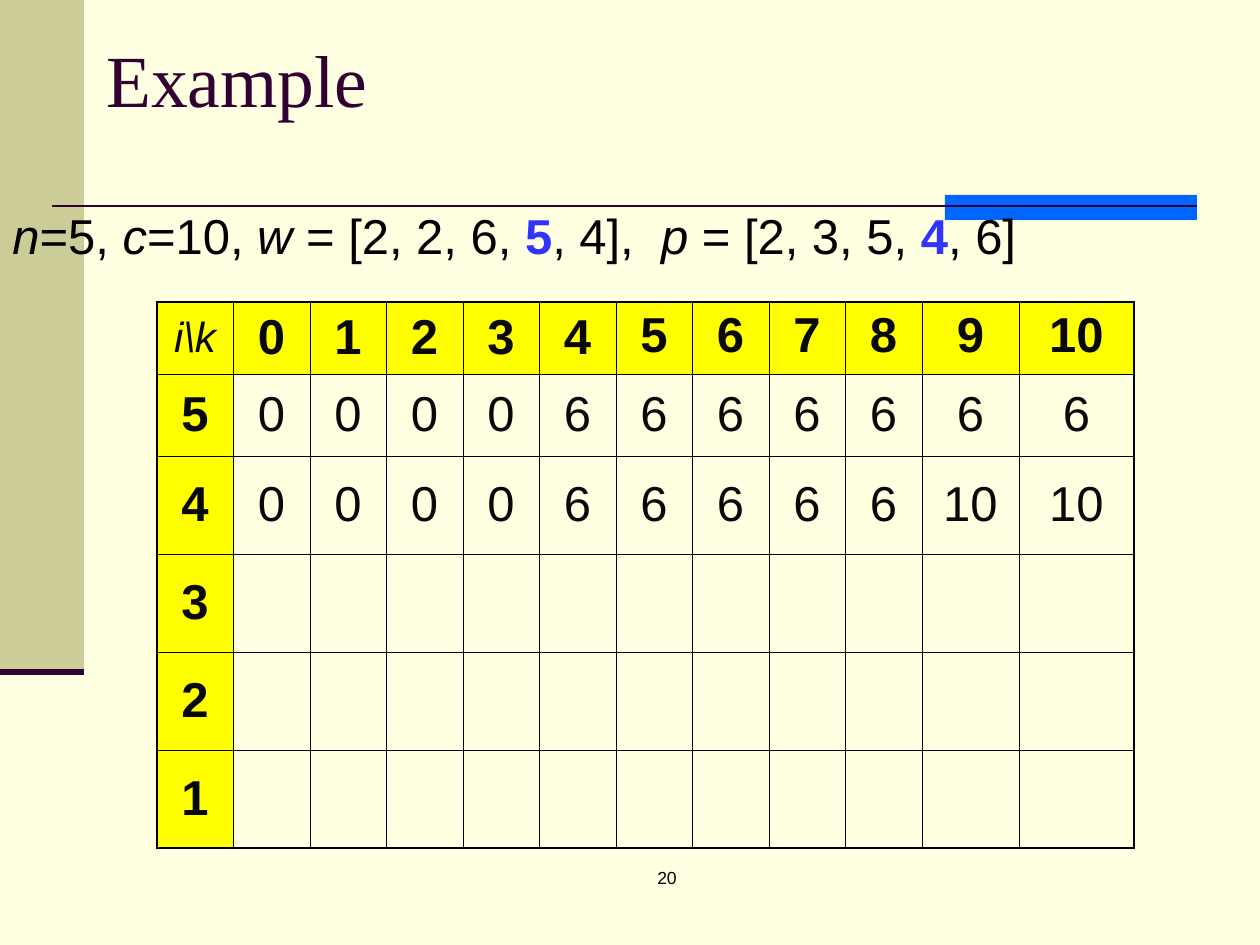
from lxml.etree import SubElement
from pptx import Presentation
from pptx.dml.color import RGBColor
from pptx.enum.shapes import MSO_CONNECTOR, MSO_SHAPE
from pptx.enum.text import MSO_ANCHOR, PP_ALIGN
from pptx.oxml.ns import qn
from pptx.util import Pt

PX = 914400 / 126
BLACK, INK, PLUM, BLUE, YELLOW = "000000", "080808", "330033", "3333FF", "FFFF00"


def px(*values):
    return [round(v * PX) for v in values]


def add_text(tf, *runs, size=28, font="Arial", color=BLACK, bold=False,
             align=PP_ALIGN.LEFT, anchor=MSO_ANCHOR.TOP):
    tf.word_wrap = True
    tf.vertical_anchor = anchor
    p = tf.paragraphs[0]
    p.alignment = align
    for text, style in runs:
        r = p.add_run()
        r.text = text
        r.font.size = Pt(size)
        r.font.name = font
        r.font.bold = bold or style == "key"
        r.font.italic = style == "var"
        r.font.color.rgb = RGBColor.from_string(BLUE if style == "key" else color)


prs = Presentation()
prs.slide_width, prs.slide_height = px(1260, 945)
s = prs.slides.add_slide(prs.slide_layouts[6])
s.background.fill.solid()
s.background.fill.fore_color.rgb = RGBColor.from_string("FFFFE1")

for box, color in [((0, 0, 84, 672), "CCCC99"), ((945, 195, 252, 25), "0066FF")]:
    sp = s.shapes.add_shape(MSO_SHAPE.RECTANGLE, *px(*box))
    sp.shadow.inherit = False
    sp.fill.solid()
    sp.fill.fore_color.rgb = RGBColor.from_string(color)
    sp.line.fill.background()

for ends, width in [((52, 206, 1197, 206), 1.5), ((0, 672, 84, 672), 3.5)]:
    line = s.shapes.add_connector(MSO_CONNECTOR.STRAIGHT, *px(*ends))
    line.line.color.rgb = RGBColor.from_string(PLUM)
    line.line.width = Pt(width)
    SubElement(line._element.spPr, qn("a:effectLst"))

number = s.shapes.add_textbox(*px(462, 861, 410, 63))
add_text(number.text_frame, ("20", ""), size=10, align=PP_ALIGN.CENTER)

title = s.shapes.add_textbox(*px(94, 26, 1071, 105))
add_text(title.text_frame, ("Example", ""), size=42, font="Times New Roman",
         color=PLUM, anchor=MSO_ANCHOR.MIDDLE)

given = s.shapes.add_textbox(*px(0, 199, 1187, 116))
add_text(given.text_frame,
         ("n", "var"), ("=5, ", ""), ("c", "var"), ("=10, ", ""),
         ("w", "var"), (" = [2, 2, 6, ", ""), ("5", "key"), (", 4],  ", ""),
         ("p", "var"), (" = [2, 3, 5, ", ""), ("4", "key"), (", 6]", ""))

cols = [76, 77] * 5 + [97, 115]
rows = [72, 82] + [98] * 4
values = [
    ["i\\k", *range(11)],
    [5] + [0] * 4 + [6] * 7,
    [4] + [0] * 4 + [6] * 5 + [10] * 2,
    [3], [2], [1],
]
frame = s.shapes.add_table(len(rows), len(cols), *px(157, 302, sum(cols), sum(rows)))
table = frame.table
for col, width in zip(table.columns, px(*cols)):
    col.width = width
for row, height in zip(table.rows, px(*rows)):
    row.height = height

for i in range(len(rows)):
    for j in range(len(cols)):
        cell = table.cell(i, j)
        header = i == 0 or j == 0
        corner = i == j == 0
        tcPr = cell._tc.get_or_add_tcPr()
        outer = {"lnL": j == 0, "lnR": j == len(cols) - 1,
                 "lnT": i == 0, "lnB": i == len(rows) - 1}
        for side, thick in outer.items():
            ln = SubElement(tcPr, qn(f"a:{side}"), w=str(Pt(1.08 if thick else 0.45)))
            SubElement(SubElement(ln, qn("a:solidFill")), qn("a:srgbClr"), val=BLACK)
        if header:
            cell.fill.solid()
            cell.fill.fore_color.rgb = RGBColor.from_string(YELLOW)
        else:
            cell.fill.background()
        if j < len(values[i]):
            top = i == 0 and j > 5
            cell.vertical_anchor = MSO_ANCHOR.TOP if top else MSO_ANCHOR.MIDDLE
            add_text(cell.text_frame, (str(values[i][j]), "var" if corner else ""),
                     size=24 if corner else 28, color=INK, bold=header and not corner,
                     align=PP_ALIGN.CENTER, anchor=None)

prs.save("out.pptx")
